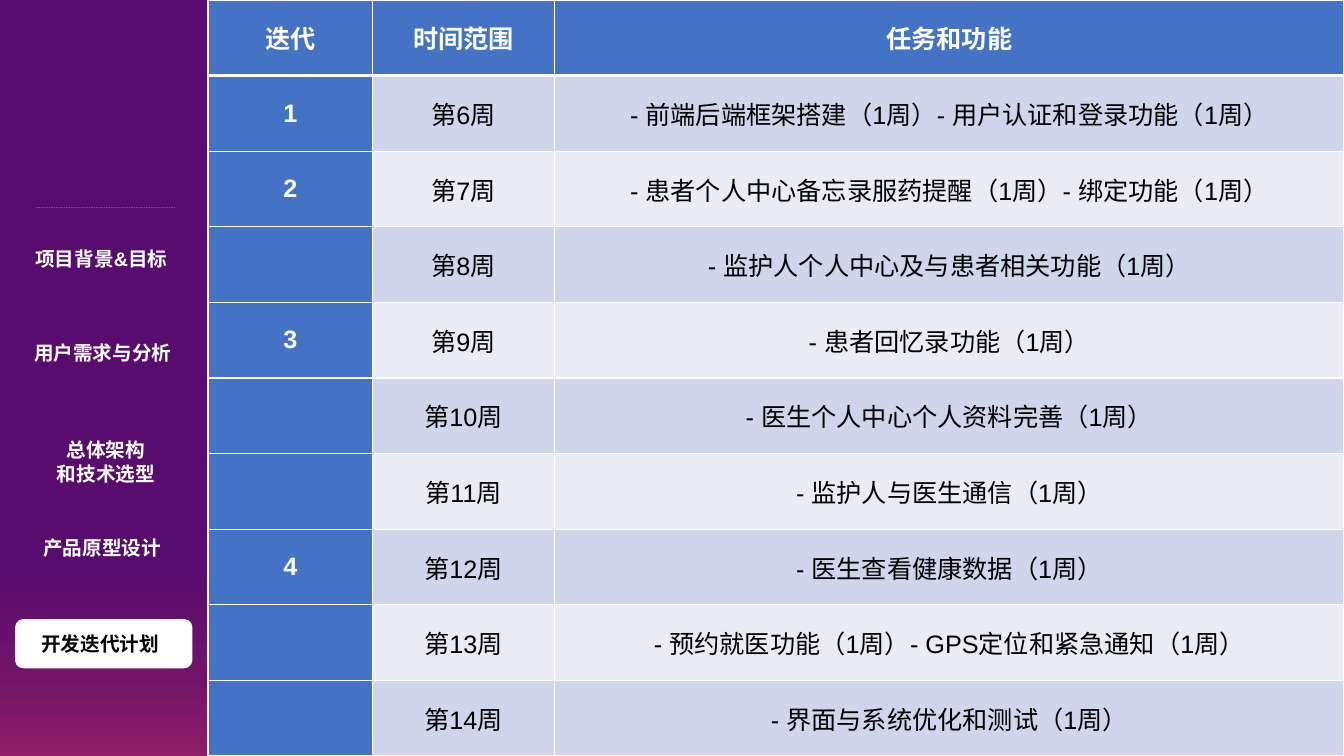
from copy import deepcopy

from lxml.etree import SubElement
from pptx import Presentation
from pptx.dml.color import RGBColor
from pptx.enum.dml import MSO_LINE
from pptx.enum.shapes import MSO_CONNECTOR, MSO_SHAPE
from pptx.enum.text import MSO_ANCHOR, MSO_AUTO_SIZE, PP_ALIGN
from pptx.oxml import parse_xml
from pptx.oxml.ns import nsdecls, qn
from pptx.util import Cm, Pt

WHITE = RGBColor(0xFF, 0xFF, 0xFF)
BLACK = RGBColor(0, 0, 0)
BLUE = RGBColor(0x44, 0x72, 0xC4)
BANDS = [RGBColor(0xE9, 0xEB, 0xF5), RGBColor(0xCF, 0xD5, 0xEA)]
FADE = [
    (0.74, RGBColor(0x58, 0x0C, 0x6E)),
    (0.9, RGBColor(0x72, 0x15, 0x6A)),
    (1.0, RGBColor(0x8F, 0x1E, 0x65)),
]


def write(frame, text, size=14, color=WHITE, bold=True, align=PP_ALIGN.LEFT):
    for i, line in enumerate(text.split("\n")):
        para = frame.add_paragraph() if i else frame.paragraphs[0]
        para.alignment = align
        run = para.add_run()
        run.text = line
        font = run.font
        font.name, font.size, font.bold = "Arial", Pt(size), bold
        font.color.rgb = color


deck = Presentation()
deck.slide_width, deck.slide_height = Cm(33.87), Cm(19.05)
slide = deck.slides.add_slide(deck.slide_layouts[6])
shapes = slide.shapes

# Sidebar with a downward gradient
side = shapes.add_shape(MSO_SHAPE.RECTANGLE, 0, 0, Cm(5.23), Cm(19.05))
side.shadow.inherit = False
side.line.fill.background()
side.fill.gradient()
side.fill.gradient_angle = 270
stops = side._element.spPr.find(qn("a:gradFill")).find(qn("a:gsLst"))
stops.append(deepcopy(stops[-1]))
for stop, (place, color) in zip(side.fill.gradient_stops, FADE):
    stop.position = place
    stop.color.rgb = color

# Highlight behind the current section
pill = shapes.add_shape(MSO_SHAPE.ROUNDED_RECTANGLE, Cm(0.38), Cm(15.6), Cm(4.47), Cm(1.24))
pill.shadow.inherit = False
pill.line.fill.background()
pill.fill.solid()
pill.fill.fore_color.rgb = WHITE

# Section names
labels = [
    ("项目背景&目标", 0.64, 6.1, 0.86, {}),
    ("用户需求与分析", 0.61, 8.46, 0.86, {}),
    ("总体架构\n和技术选型", 0.64, 10.92, 1.45, {"align": PP_ALIGN.CENTER}),
    ("产品原型设计", 0.84, 13.39, 0.86, {}),
    ("开发迭代计划", 0.79, 15.8, 0.86, {"color": BLACK}),
]
for text, left, top, high, style in labels:
    frame = shapes.add_textbox(Cm(left), Cm(top), Cm(4.06), Cm(high)).text_frame
    frame.word_wrap = True
    frame.auto_size = MSO_AUTO_SIZE.SHAPE_TO_FIT_TEXT
    write(frame, text, **style)

# Dashed rule
rule = shapes.add_connector(MSO_CONNECTOR.STRAIGHT, Cm(0.91), Cm(5.23), Cm(4.42), Cm(5.23))
rule.line.color.rgb = WHITE
rule.line.width = Pt(0.25)
rule.line.dash_style = MSO_LINE.DASH
tint = next(rule._element.spPr.iter(qn("a:srgbClr")))
SubElement(tint, qn("a:alpha"), val="82000")
SubElement(rule._element.spPr, qn("a:effectLst"))

# Iteration plan
rows = [
    ("迭代", "时间范围", "任务和功能"),
    ("1", "第6周", "- 前端后端框架搭建（1周）- 用户认证和登录功能（1周）"),
    ("2", "第7周", "- 患者个人中心备忘录服药提醒（1周）- 绑定功能（1周）"),
    ("", "第8周", "- 监护人个人中心及与患者相关功能（1周）"),
    ("3", "第9周", "- 患者回忆录功能（1周）"),
    ("", "第10周", "- 医生个人中心个人资料完善（1周）"),
    ("", "第11周", "- 监护人与医生通信（1周）"),
    ("4", "第12周", "- 医生查看健康数据（1周）"),
    ("", "第13周", "- 预约就医功能（1周）- GPS定位和紧急通知（1周）"),
    ("", "第14周", "- 界面与系统优化和测试（1周）"),
]
table = shapes.add_table(len(rows), 3, Cm(5.26), 0, Cm(28.61), Cm(19.05)).table
table.first_col = True
for col, wide in zip(table.columns, (4.12, 4.6, 19.89)):
    col.width = Cm(wide)

for r, row in enumerate(rows):
    for c, text in enumerate(row):
        cell = table.cell(r, c)
        head = r == 0 or c == 0
        cell.fill.solid()
        cell.fill.fore_color.rgb = BLUE if head else BANDS[r % 2]
        cell.vertical_anchor = MSO_ANCHOR.MIDDLE
        cell.margin_left = cell.margin_right = Cm(0.03)
        cell.margin_top = cell.margin_bottom = Cm(0.03)
        if text:
            write(cell.text_frame, text, size=18, color=WHITE if head else BLACK,
                  bold=head, align=PP_ALIGN.CENTER)
        # White borders, thicker under the header
        thick = {"T": 3 if r == 1 else 1, "B": 3 if r == 0 else 1}
        for i, edge in enumerate("LRTB"):
            cell._tc.tcPr.insert(i, parse_xml(
                f'<a:ln{edge} {nsdecls("a")} w="{Pt(thick.get(edge, 1))}">'
                f'<a:solidFill><a:srgbClr val="{WHITE}"/></a:solidFill></a:ln{edge}>'))

deck.save("out.pptx")
